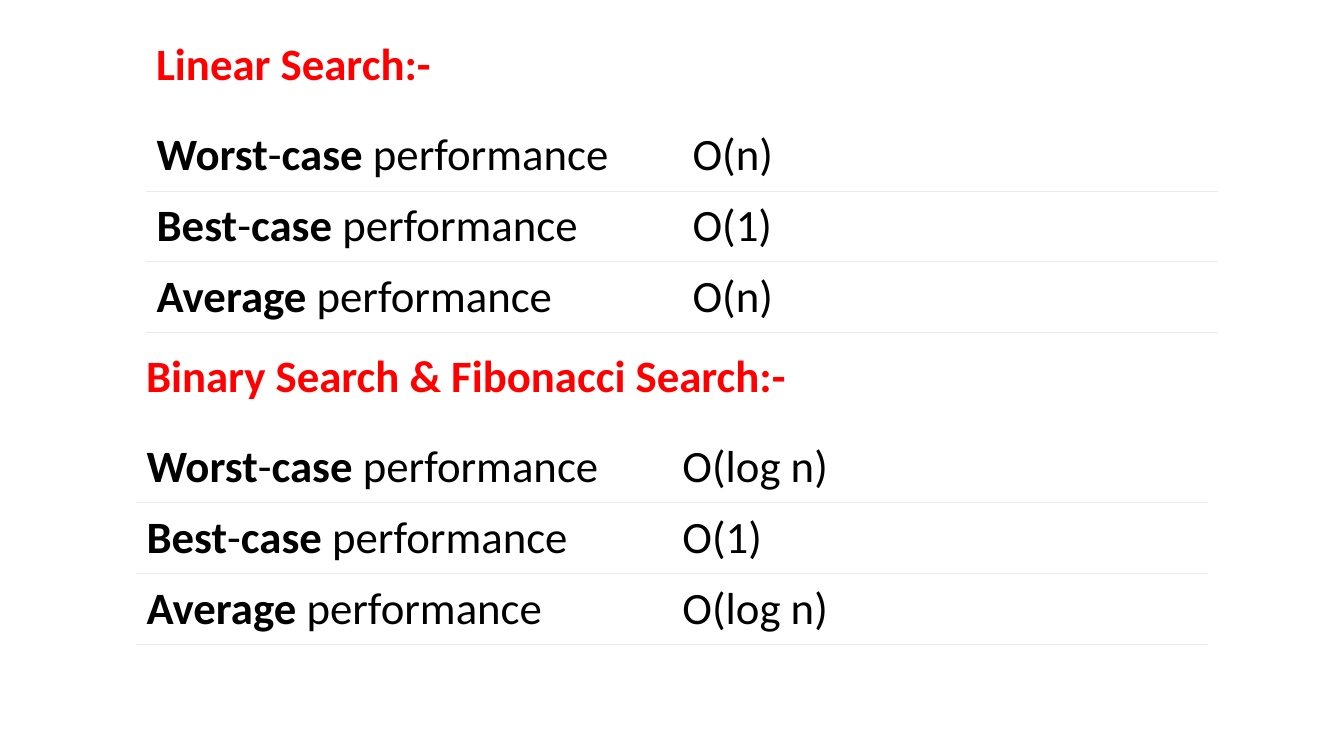
from lxml import etree
from pptx import Presentation
from pptx.dml.color import RGBColor
from pptx.enum.text import MSO_ANCHOR as Anchor, MSO_AUTO_SIZE as AutoSize
from pptx.oxml import parse_xml
from pptx.oxml.ns import nsdecls
from pptx.util import Pt

RED = RGBColor(0xFF, 0x00, 0x00)
BLACK = RGBColor(0x00, 0x00, 0x00)
WHITE = RGBColor(0xFF, 0xFF, 0xFF)
RULE_GRAY = RGBColor(0xEB, 0xEB, 0xEB)

FONT_NAME = "Calibri"
FONT_SIZE = Pt(32)
COLUMN_WIDTH = Pt(382.8)
ROW_HEIGHT = Pt(50.4)
TABLE_OFFSET = 63.8  # from heading top to table top
PLAIN_TABLE_STYLE = "{2D5ABB26-0587-4C30-8999-92F81FD0307C}"

# Each label is a list of (text, bold) runs
LABELS = [
    [("Worst", True), ("-", False), ("case", True), (" performance", False)],
    [("Best", True), ("-", False), ("case", True), (" performance", False)],
    [("Average", True), (" performance", False)],
]

# Heading, left, top, heading width, complexities
SECTIONS = [
    ("Linear Search:-", 104.4, 22.2, 212.4, ["O(n)", "O(1)", "O(n)"]),
    ("Binary Search & Fibonacci Search:-", 97.2, 245, 475.9,
     ["O(log n)", "O(1)", "O(log n)"]),
]


def style_font(font, color):
    font.name = FONT_NAME
    font.size = FONT_SIZE
    font.color.rgb = color


def add_heading(slide, text, left, top, width):
    shape = slide.shapes.add_textbox(Pt(left), Pt(top), Pt(width), Pt(46))
    frame = shape.text_frame
    frame.word_wrap = False
    frame.auto_size = AutoSize.SHAPE_TO_FIT_TEXT
    paragraph = frame.paragraphs[0]
    paragraph.text = text
    style_font(paragraph.font, RED)
    paragraph.font.bold = True


def add_bottom_rule(cell):
    line = parse_xml(f'<a:lnB {nsdecls("a")} w="{Pt(0.75)}"/>')
    fill = etree.SubElement(line, line.tag.replace("lnB", "solidFill"))
    etree.SubElement(fill, line.tag.replace("lnB", "srgbClr"), val=str(RULE_GRAY))
    cell._tc.get_or_add_tcPr().insert(0, line)


def fill_cell(cell, runs):
    cell.fill.solid()
    cell.fill.fore_color.rgb = WHITE
    cell.vertical_anchor = Anchor.MIDDLE
    cell.margin_left = cell.margin_right = Pt(7.5)
    cell.margin_top = cell.margin_bottom = Pt(5.6)
    add_bottom_rule(cell)
    paragraph = cell.text_frame.paragraphs[0]
    style_font(paragraph.font, BLACK)
    for text, bold in runs:
        run = paragraph.add_run()
        run.text = text
        run.font.bold = bold
        style_font(run.font, BLACK)


def add_performance_table(slide, left, top, complexities):
    frame = slide.shapes.add_table(len(LABELS), 2, Pt(left), Pt(top),
                                   COLUMN_WIDTH * 2, ROW_HEIGHT * len(LABELS))
    table = frame.table
    table.first_row = table.horz_banding = False
    table._tbl.tblPr[0].text = PLAIN_TABLE_STYLE
    for column in table.columns:
        column.width = COLUMN_WIDTH
    for index, (label, complexity) in enumerate(zip(LABELS, complexities)):
        fill_cell(table.cell(index, 0), label)
        fill_cell(table.cell(index, 1), [(complexity, False)])


def main():
    presentation = Presentation()
    presentation.slide_width = Pt(960)
    presentation.slide_height = Pt(540)
    slide = presentation.slides.add_slide(presentation.slide_layouts[6])

    # One heading and one table per group of searches
    for heading, left, top, width, complexities in SECTIONS:
        add_performance_table(slide, left, top + TABLE_OFFSET, complexities)
        add_heading(slide, heading, left, top, width)

    presentation.save("out.pptx")


if __name__ == "__main__":
    main()
